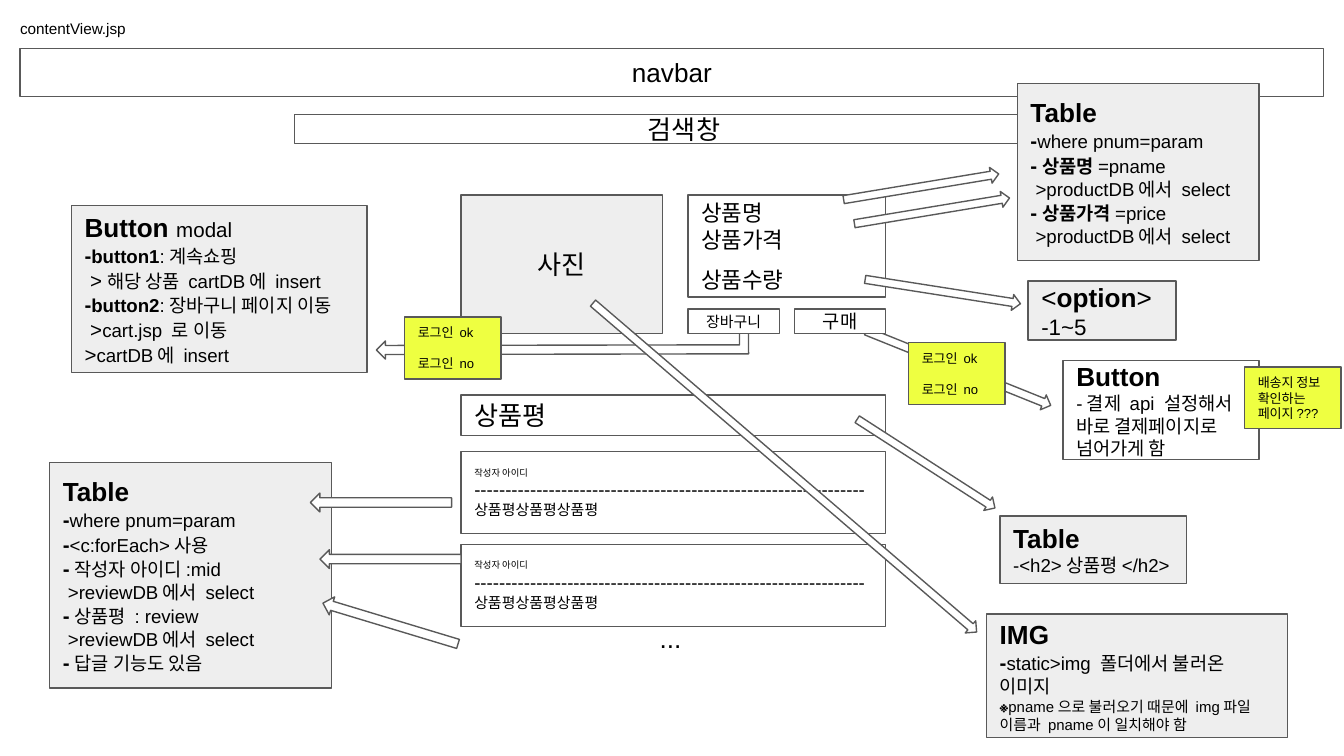
from dataclasses import dataclass
from typing import NamedTuple

from pptx import Presentation
from pptx.dml.color import RGBColor
from pptx.enum.shapes import MSO_SHAPE as SHAPE
from pptx.enum.text import MSO_ANCHOR as ANCHOR, MSO_AUTO_SIZE as AUTO, PP_ALIGN as ALIGN
from pptx.util import Pt

COLORS = {"white": "FFFFFF", "grey": "EEEEEE", "yellow": "EEFF41", "line": "595959", "text": "000000"}
FONT = "Arial"
INSET = 7.2


class Run(NamedTuple):
    text: str
    size: float = 10
    bold: bool = False


class Para(NamedTuple):
    runs: tuple[Run, ...]
    before: float = 0


@dataclass
class Box:
    at: tuple[float, float, float, float]
    paras: list[Para]
    fill: str = "grey"
    align: ALIGN = ALIGN.LEFT


@dataclass
class Arrow:
    at: tuple[float, float, float, float]
    angle: float = 0
    kind: SHAPE = SHAPE.RIGHT_ARROW
    flip: bool = False


def line(text: str, size: float = 10, bold: bool = False, before: float = 0) -> Para:
    return Para((Run(text, size, bold),), before)


def dash(*runs: Run) -> Para:
    return Para((Run("-", 11, True), *runs))


def label(at: tuple, text: str, size: float, fill: str = "white") -> Box:
    return Box(at, [line(text, size)], fill, ALIGN.CENTER)


def review(top: float) -> Box:
    paras = [line("작성자 아이디", 5), line("-" * 63), line("상품평상품평상품평", 8)]
    return Box((247, top, 227.5, 43.9), paras, "white")


def note(left: float, top: float, *paras: Para) -> Box:
    return Box((left, top, 51.8, 33.1), list(paras), "yellow")


LOGIN = (line("로그인 ok", 7), line("로그인 no", 7, before=8.3))
PRODUCT_DB = line(" >productDB에서 select")
REVIEW_DB = line(" >reviewDB에서 select")
TABLE = line("Table", 14, True)

BACK_ARROWS = [
    Arrow((460.1, 193, 106.6, 8.6), 21.9),
    Arrow((291.6, 82.8, 19.4, 199.4), 269.9, SHAPE.BENT_UP_ARROW, True),
]

BOXES = [
    label((10.8, 25.9, 698.4, 25.9), "navbar", 14),
    label((157.7, 61.2, 417.6, 15.8), "검색창", 14),
    label((247, 104.4, 108, 74.2), "사진", 14, "grey"),
    Box((368.6, 104.4, 105.8, 54.7),
        [line("상품명", 12), line("상품가격", 12), line("상품수량", 12, before=7)], "white"),
    label((368.6, 165.6, 49, 13), "장바구니", 8),
    label((425.5, 165.6, 49, 13), "구매", 10),
    Box((247, 211.7, 227.5, 21.6), [line("상품평", 14)], "white"),
    review(241.9),
    review(291.6),
    Box((545, 44.6, 129.6, 95), [
        TABLE,
        dash(Run("where pnum=param")),
        dash(Run("상품명", bold=True), Run("=pname")), PRODUCT_DB,
        dash(Run("상품가격", bold=True), Run("=price")), PRODUCT_DB]),
    Box((550.8, 150.5, 79.2, 31.7), [
        Para((Run("<", 14), Run("option", 14, True), Run(">", 14))),
        line("-1~5", 12)]),
    Box((38.2, 110.2, 158.4, 89.3), [
        Para((Run("Button ", 14, True), Run("modal", 11))),
        dash(Run("button1", bold=True), Run(":계속쇼핑")),
        Para((Run(" >", 11), Run("해당 상품 cartDB에 insert"))),
        dash(Run("button2", bold=True), Run(":장바구니 페이지 이동")),
        Para((Run(" >", 11), Run("cart.jsp 로 이동"))),
        Para((Run(">", 11), Run("cartDB에 insert")))]),
    Box((569.5, 193, 105.1, 53.3), [
        line("Button", 14, True), line("-결제 api 설정해서"),
        line("바로 결제페이지로 넘어가게 함")], "white"),
    Box((535.7, 276.5, 100.1, 36), [TABLE, line("-<h2>상품평</h2>")]),
    Box((26.6, 247.7, 151.2, 121), [
        TABLE,
        dash(Run("where pnum=param")),
        dash(Run("<c:forEach>사용")),
        dash(Run("작성자 아이디:mid")), REVIEW_DB,
        dash(Run("상품평 : review")), REVIEW_DB,
        dash(Run("답글 기능도 있음"))]),
    Box((528.5, 329, 161.3, 66.2), [
        line("IMG", 14, True),
        dash(Run("static>img 폴더에서 불러온 이미지")),
        Para((Run("※", 8, True),
              Run("pname으로 불러오기 때문에 img파일 이름과 pname이 일치해야 함", 8)))]),
]

FRONT_ARROWS = [
    Arrow((463, 151.9, 84.2, 8.6), 8.9),
    Arrow((451.4, 95.8, 84.2, 8.6), 350.6),
    Arrow((457.2, 108.7, 84.2, 8.6), 350.6),
    Arrow((166.3, 264.2, 75.6, 10.1), 0, SHAPE.LEFT_ARROW),
    Arrow((171.4, 294.5, 75.6, 10.1), 0, SHAPE.LEFT_ARROW),
    Arrow((171.4, 329, 75.6, 10.1), 16.8, SHAPE.LEFT_ARROW),
    Arrow((285.1, 246.2, 270.7, 8.6), 40.6),
    Arrow((452.2, 244.1, 87.8, 8.6), 32.8),
]

NOTES = [
    note(666.7, 196.6, line("배송지 정보 확인하는 페이지???", 7)),
    note(486.7, 183.6, *LOGIN),
    note(216.7, 169.9, *LOGIN),
]


def rgb(name: str) -> RGBColor:
    return RGBColor.from_string(COLORS[name])


def write(sp, paras: list[Para], align: ALIGN = ALIGN.LEFT, anchor: ANCHOR = ANCHOR.MIDDLE) -> None:
    tf = sp.text_frame
    tf.word_wrap = True
    tf.auto_size = AUTO.NONE
    tf.vertical_anchor = anchor
    tf.margin_left = tf.margin_right = tf.margin_top = tf.margin_bottom = Pt(INSET)
    for i, para in enumerate(paras):
        p = tf.add_paragraph() if i else tf.paragraphs[0]
        p.alignment = align
        p.space_before = Pt(para.before)
        for run in para.runs:
            r = p.add_run()
            r.text = run.text
            r.font.name, r.font.size, r.font.bold = FONT, Pt(run.size), run.bold
            r.font.color.rgb = rgb("text")


def add_outlined(s, kind: SHAPE, at: tuple, fill: str):
    sp = s.shapes.add_shape(kind, *map(Pt, at))
    sp.shadow.inherit = False
    sp.fill.solid()
    sp.fill.fore_color.rgb = rgb(fill)
    sp.line.color.rgb = rgb("line")
    sp.line.width = Pt(0.75)
    return sp


def draw_box(s, box: Box) -> None:
    write(add_outlined(s, SHAPE.RECTANGLE, box.at, box.fill), box.paras, box.align)


def draw_arrow(s, arrow: Arrow) -> None:
    sp = add_outlined(s, arrow.kind, arrow.at, "white")
    sp.rotation = arrow.angle
    if arrow.flip:
        sp._element.spPr.get_or_add_xfrm().set("flipH", "1")


def main() -> None:
    """Build the page wireframe slide."""
    prs = Presentation()
    prs.slide_width, prs.slide_height = Pt(720), Pt(405)
    s = prs.slides.add_slide(prs.slide_layouts[5])
    title = s.shapes.title
    title.left, title.top, title.width, title.height = map(Pt, (3.6, 2.9, 72.7, 22.3))
    write(title, [line("contentView.jsp", 8.2)], anchor=ANCHOR.TOP)
    for arrow in BACK_ARROWS:
        draw_arrow(s, arrow)
    for box in BOXES:
        draw_box(s, box)
    dots = s.shapes.add_textbox(*map(Pt, (346.3, 326.2, 32.4, 31.7)))
    write(dots, [line("...", 14)], anchor=ANCHOR.TOP)
    for arrow in FRONT_ARROWS:
        draw_arrow(s, arrow)
    for box in NOTES:
        draw_box(s, box)
    prs.save("out.pptx")


if __name__ == "__main__":
    main()
